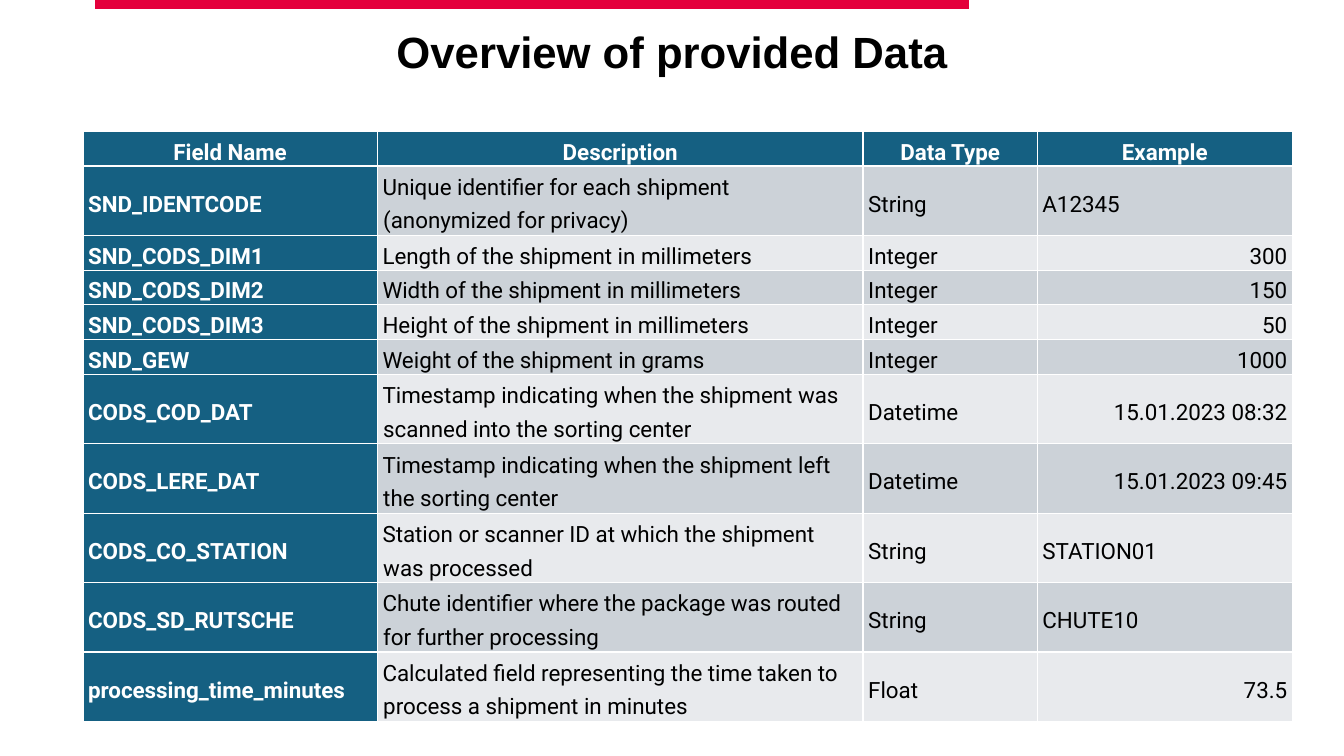
from lxml import etree
from pptx import Presentation
from pptx.dml.color import RGBColor
from pptx.enum.shapes import MSO_CONNECTOR
from pptx.enum.text import MSO_ANCHOR, PP_ALIGN
from pptx.oxml.ns import qn
from pptx.util import Cm, Pt

STRAIGHT = MSO_CONNECTOR.STRAIGHT
MIDDLE, BOTTOM = MSO_ANCHOR.MIDDLE, MSO_ANCHOR.BOTTOM
LEFT, CENTER, RIGHT = PP_ALIGN.LEFT, PP_ALIGN.CENTER, PP_ALIGN.RIGHT

RED, TEAL = "E4003C", "156082"
WHITE, BLACK = "FFFFFF", "000000"
BANDS = ("CCD2D8", "E8EAED")

COLUMN_WIDTHS = (7.42, 12.24, 4.39, 6.43)
ONE_LINE, TWO_LINES = 0.84, 1.75
WRAP_LENGTH = 45  # characters that fit on one description line

HEADERS = ("Field Name", "Description", "Data Type", "Example")
FIELDS = (
    ("SND_IDENTCODE", "Unique identifier for each shipment (anonymized for privacy)",
     "String", "A12345"),
    ("SND_CODS_DIM1", "Length of the shipment in millimeters", "Integer", "300"),
    ("SND_CODS_DIM2", "Width of the shipment in millimeters", "Integer", "150"),
    ("SND_CODS_DIM3", "Height of the shipment in millimeters", "Integer", "50"),
    ("SND_GEW", "Weight of the shipment in grams", "Integer", "1000"),
    ("CODS_COD_DAT",
     "Timestamp indicating when the shipment was scanned into the sorting center",
     "Datetime", "15.01.2023 08:32"),
    ("CODS_LERE_DAT", "Timestamp indicating when the shipment left the sorting center",
     "Datetime", "15.01.2023 09:45"),
    ("CODS_CO_STATION", "Station or scanner ID at which the shipment was processed",
     "String", "STATION01"),
    ("CODS_SD_RUTSCHE",
     "Chute identifier where the package was routed for further processing",
     "String", "CHUTE10"),
    ("processing_time_minutes",
     "Calculated field representing the time taken to process a shipment in minutes",
     "Float", "73.5"),
)


def color(hex_string):
    return RGBColor.from_string(hex_string)


def write(frame, text, *, font, size, ink, bold=False, align=LEFT, spacing=1.0, after=0):
    para = frame.paragraphs[0]
    para.alignment = align
    para.line_spacing = spacing
    para.space_after = Pt(after)
    span = para.add_run()
    span.text = text
    span.font.name = font
    span.font.size = Pt(size)
    span.font.bold = bold
    span.font.color.rgb = color(ink)
    return para


def add_title(page, left, top, width, height):
    frame = page.shapes.add_textbox(Cm(left), Cm(top), Cm(width), Cm(height)).text_frame
    frame.word_wrap = True
    frame.vertical_anchor = BOTTOM
    write(frame, "Overview of provided Data", font="Arial", size=31.2, ink=BLACK,
          bold=True, align=CENTER, spacing=0.9)


def add_top_bar(page, left, top, width):
    bar = page.shapes.add_connector(STRAIGHT, Cm(left), Cm(top), Cm(left + width), Cm(top))
    bar.line.color.rgb = color(RED)
    bar.line.width = Pt(7.5)
    etree.SubElement(bar._element.spPr, qn("a:effectLst"))


def fill_cell(cell, text, fill, ink, bold, align):
    cell.fill.solid()
    cell.fill.fore_color.rgb = color(fill)
    cell.vertical_anchor = MIDDLE
    cell.margin_left = cell.margin_right = Cm(0.13)
    cell.margin_top = cell.margin_bottom = 0
    para = write(cell.text_frame, text, font="Roboto", size=16, ink=ink, bold=bold,
                 align=align, spacing=1.29, after=10.6)
    hanging = Pt(0.5)
    properties = para._p.get_or_add_pPr()
    properties.set("marL", str(hanging))
    properties.set("indent", str(-hanging))


def add_field_table(page, left, top):
    """Place the table; its white rules come from the default table style."""
    heights = [ONE_LINE] + [TWO_LINES if len(field[1]) > WRAP_LENGTH else ONE_LINE
                            for field in FIELDS]
    table = page.shapes.add_table(len(heights), len(HEADERS), Cm(left), Cm(top),
                                  Cm(sum(COLUMN_WIDTHS)), Cm(sum(heights))).table
    table.first_col = True
    for column, width in zip(table.columns, COLUMN_WIDTHS):
        column.width = Cm(width)
    for row, height in zip(table.rows, heights):
        row.height = Cm(height)
    for column, header in enumerate(HEADERS):
        fill_cell(table.cell(0, column), header, TEAL, WHITE, True, CENTER)
    for row, field in enumerate(FIELDS, start=1):
        for column, text in enumerate(field):
            is_name = column == 0
            fill_cell(table.cell(row, column), text,
                      fill=TEAL if is_name else BANDS[(row - 1) % 2],
                      ink=WHITE if is_name else BLACK,
                      bold=is_name,
                      align=RIGHT if text[0].isdigit() else LEFT)


def main():
    deck = Presentation()
    deck.slide_width, deck.slide_height = Cm(33.87), Cm(19.05)
    page = deck.slides.add_slide(deck.slide_layouts[6])
    add_title(page, left=0, top=0, width=33.87, height=2.08)
    add_top_bar(page, left=2.4, top=0.1, width=22.02)
    add_field_table(page, left=2.09, top=3.31)
    deck.save("out.pptx")


if __name__ == "__main__":
    main()
